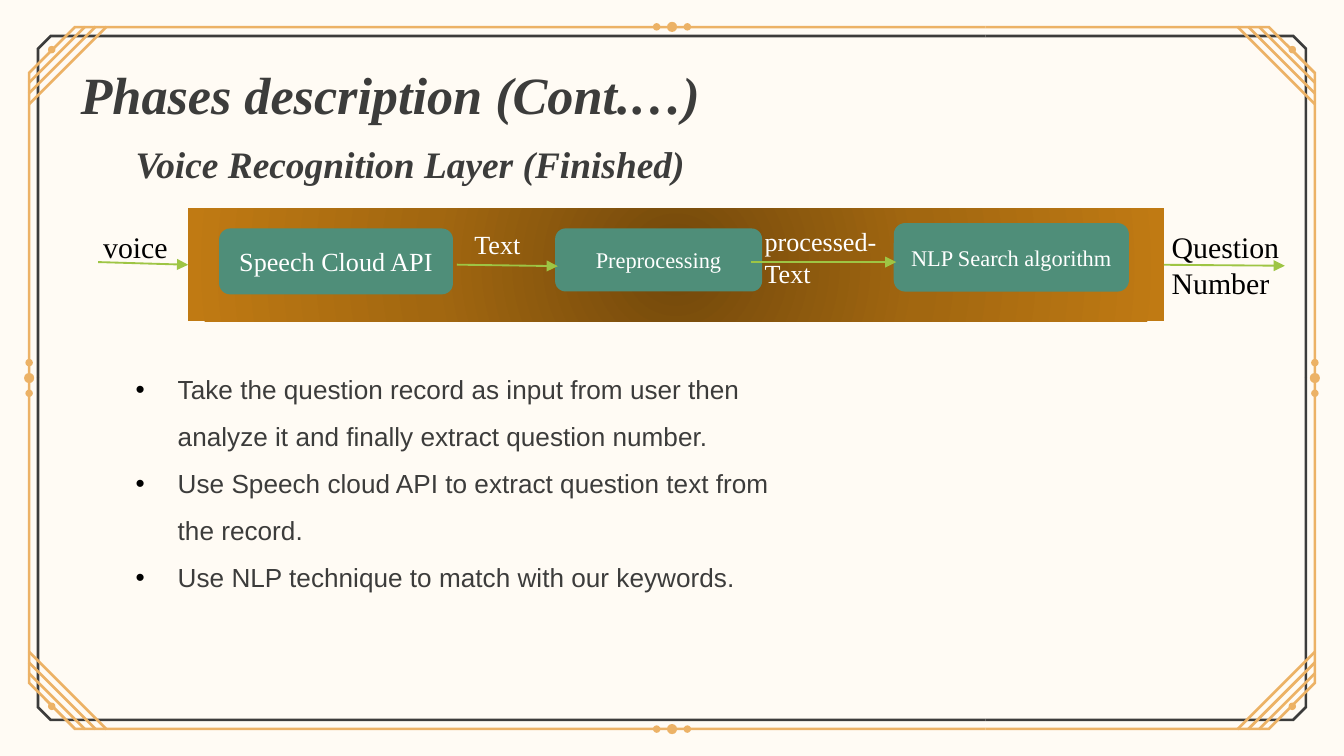
from collections import namedtuple
from itertools import product

from pptx import Presentation
from pptx.dml.color import RGBColor
from pptx.enum.shapes import MSO_CONNECTOR, MSO_SHAPE
from pptx.enum.text import MSO_ANCHOR, MSO_AUTO_SIZE, PP_ALIGN
from pptx.oxml import parse_xml
from pptx.oxml.ns import nsdecls, qn
from pptx.oxml.xmlchemy import OxmlElement
from pptx.util import Pt

Box = namedtuple("Box", "left top width height")

CREAM, INK, GOLD = "FFFBF4", "3C3C3B", "ECB266"
TEAL, GREEN, WHITE, BLACK = "4F8E79", "9EC544", "FFFFFF", "000000"
SERIF = "Times New Roman"
HEADING = {"name": SERIF, "bold": True, "italic": True}
BAND_STOPS = {0: "72480B", 50: "A26710", 100: "C07A13"}


def colour(value):
    return RGBColor.from_string(value)


def inside(box, left, top, width, height):
    return Box(box.left + left, box.top + top, width, height)


def points(box):
    return [Pt(value) for value in box]


def paint(shape, fill):
    shape.shadow.inherit = False
    shape.fill.solid()
    shape.fill.fore_color.rgb = colour(fill)
    shape.line.fill.background()


def style(font, ink, **formats):
    for key, value in formats.items():
        setattr(font, key, value)
    font.color.rgb = colour(ink)


def write(shape, text, ink, align=PP_ALIGN.LEFT, anchor=MSO_ANCHOR.TOP, **formats):
    frame = shape.text_frame
    settings = {"word_wrap": True, "auto_size": MSO_AUTO_SIZE.NONE, "vertical_anchor": anchor}
    for key, value in settings.items():
        setattr(frame, key, value)
    para = frame.paragraphs[0]
    para.alignment = align
    span = para.add_run()
    span.text = text
    style(span.font, ink, **formats)


def place(shape, box):
    for key, value in box._asdict().items():
        setattr(shape, key, Pt(value))


def add_label(page, box, text, ink, **formats):
    write(page.shapes.add_textbox(*points(box)), text, ink, **formats)


def add_dot(page, x, y, radius):
    box = Box(x - radius, y - radius, 2 * radius, 2 * radius)
    paint(page.shapes.add_shape(MSO_SHAPE.OVAL, *points(box)), GOLD)


def add_outline(page, corners, fill):
    vertices = [(Pt(x), Pt(y)) for x, y in corners]
    builder = page.shapes.build_freeform(*vertices[0])
    builder.add_line_segments(vertices[1:], close=True)
    paint(builder.convert_to_shape(), fill)


def add_frame(page, box):
    seam = 528
    middle_x, middle_y = box.width / 2, box.height / 2
    for right, bottom in product((False, True), repeat=2):
        end = box.width - seam if right else seam

        def corner(x, y):
            return (box.left + (box.width - x if right else x),
                    box.top + (box.height - y if bottom else y))

        def rail(x, y, cut, bevel):
            inner = bevel + 0.6
            path = [(end, y), (cut, y), (x, y + bevel), (x, middle_y),
                    (x + 1.4, middle_y), (x + 1.4, y + inner),
                    (cut + 0.6, y + 1.4), (end, y + 1.4)]
            return [corner(*point) for point in path]

        add_outline(page, rail(19.7, 18.6, 26.9, 7.2), INK)
        for reach in (46.1, 51.8, 57.6):
            stripe = [(reach - 1, 13.8), (reach, 14.8),
                      (16, reach - 1.2), (15, reach - 2.2)]
            add_outline(page, [corner(*point) for point in stripe], GOLD)
        add_outline(page, rail(14.9, 13.8, 39.9, 25), GOLD)
        add_dot(page, *corner(27.7, 26.6), 2)

    for offset, radius in ((-8.2, 2), (0, 2.7), (8.2, 2)):
        for y in (14.4, box.height - 14.4):
            add_dot(page, box.left + middle_x + offset, box.top + y, radius)
        for x in (15.6, box.width - 15.6):
            add_dot(page, box.left + x, box.top + middle_y + offset, radius)


def add_band(page, box):
    band = page.shapes.add_shape(MSO_SHAPE.RECTANGLE, *points(box))
    paint(band, GOLD)
    stops = "".join(
        f'<a:gs pos="{position * 1000}"><a:srgbClr val="{value}"/></a:gs>'
        for position, value in BAND_STOPS.items())
    gradient = parse_xml(
        f'<a:gradFill {nsdecls("a")} rotWithShape="1"><a:gsLst>{stops}</a:gsLst>'
        '<a:path path="circle"><a:fillToRect l="50000" t="50000" r="50000" b="50000"/>'
        '</a:path></a:gradFill>')
    properties = band._element.spPr
    properties.replace(properties.find(qn("a:solidFill")), gradient)
    return band


def add_arrow(page, box, start, finish):
    ends = [Pt(value) for x, y in (start, finish) for value in (box.left + x, box.top + y)]
    arrow = page.shapes.add_connector(MSO_CONNECTOR.STRAIGHT, *ends)
    arrow.line.width = Pt(1)
    arrow.line.color.rgb = colour(GREEN)
    head = OxmlElement("a:tailEnd")
    head.set("type", "triangle")
    arrow.line._get_or_add_ln().append(head)
    arrow._element.spPr.append(OxmlElement("a:effectLst"))
    return arrow


def add_pipeline(page, box):
    band = add_band(page, inside(box, 52.8, 0, 522.7, 60.5))
    stages = [
        ("Speech Cloud API", 14, (69.4, 10.8, 125.3, 35.3)),
        ("Preprocessing", 12, (249.4, 10.8, 110.9, 33.8)),
        ("NLP Search algorithm", 12, (430.8, 7.9, 126, 36.7)),
    ]
    for text, size, area in stages:
        stage = page.shapes.add_shape(
            MSO_SHAPE.ROUNDED_RECTANGLE, *points(inside(box, *area)))
        paint(stage, TEAL)
        write(stage, text, WHITE, PP_ALIGN.CENTER, MSO_ANCHOR.MIDDLE,
              name=SERIF, size=Pt(size))

    labels = [
        ("voice", 16, BLACK, (0.2, 7.2, 58.3, 26.6)),
        ("Question Number", 16, BLACK, (572.6, 7.2, 99.4, 46)),
        ("Text", 14, WHITE, (199, 7.2, 49, 24.5)),
        ("processed-Text", 14, WHITE, (354.5, 5.8, 77.8, 41)),
    ]
    for text, size, ink, area in labels:
        add_label(page, inside(box, *area), text, ink, name=SERIF, size=Pt(size))

    add_arrow(page, box, (4.6, 28.8), (52.8, 30.2)).end_connect(band, 1)
    add_arrow(page, box, (196.8, 30.2), (250.8, 31))
    add_arrow(page, box, (354.5, 28.8), (432.2, 28.8))
    add_arrow(page, box, (575.5, 30.2), (640.3, 30.8)).begin_connect(band, 3)


def fill_list(body, box, items):
    place(body, box)
    frame = body.text_frame
    frame.auto_size = MSO_AUTO_SIZE.NONE
    frame.text = "\n".join(items)
    for para in frame.paragraphs:
        properties = para._p.get_or_add_pPr()
        properties.set("marL", str(Pt(22.5)))
        properties.set("indent", str(-Pt(22.5)))
        for mark in (f'<a:buClr {nsdecls("a")}><a:srgbClr val="{BLACK}"/></a:buClr>',
                     f'<a:buFont {nsdecls("a")} typeface="Arial"/>',
                     f'<a:buChar {nsdecls("a")} char="•"/>'):
            properties.append(parse_xml(mark))
        para.line_spacing = 1.5
        para.space_before = Pt(0)
        for span in para.runs:
            style(span.font, INK, name="Arial", size=Pt(14))


def build_phase_slide(deck, box):
    page = deck.slides.add_slide(deck.slide_layouts[1])
    page.background.fill.solid()
    page.background.fill.fore_color.rgb = colour(CREAM)
    add_frame(page, box)

    title = page.shapes.title
    place(title, inside(box, 36, 30, 377.3, 41))
    write(title, "Phases description (Cont.…)", INK, size=Pt(28), **HEADING)
    add_label(page, inside(box, 65.5, 72, 342, 31.7),
              "Voice Recognition Layer (Finished)", INK, size=Pt(20), **HEADING)
    add_pipeline(page, inside(box, 48, 111.6, 672, 60.5))
    fill_list(page.placeholders[1], inside(box, 65.5, 188, 360, 134.6), [
        "Take the question record as input from user then analyze it "
        "and finally extract question number.",
        "Use Speech cloud API to extract question text from the record.",
        "Use NLP technique to match with our keywords.",
    ])


def main():
    deck = Presentation()
    deck.slide_width, deck.slide_height = Pt(720), Pt(405)
    build_phase_slide(deck, Box(0, 0, 720, 405))
    deck.save("out.pptx")


if __name__ == "__main__":
    main()
